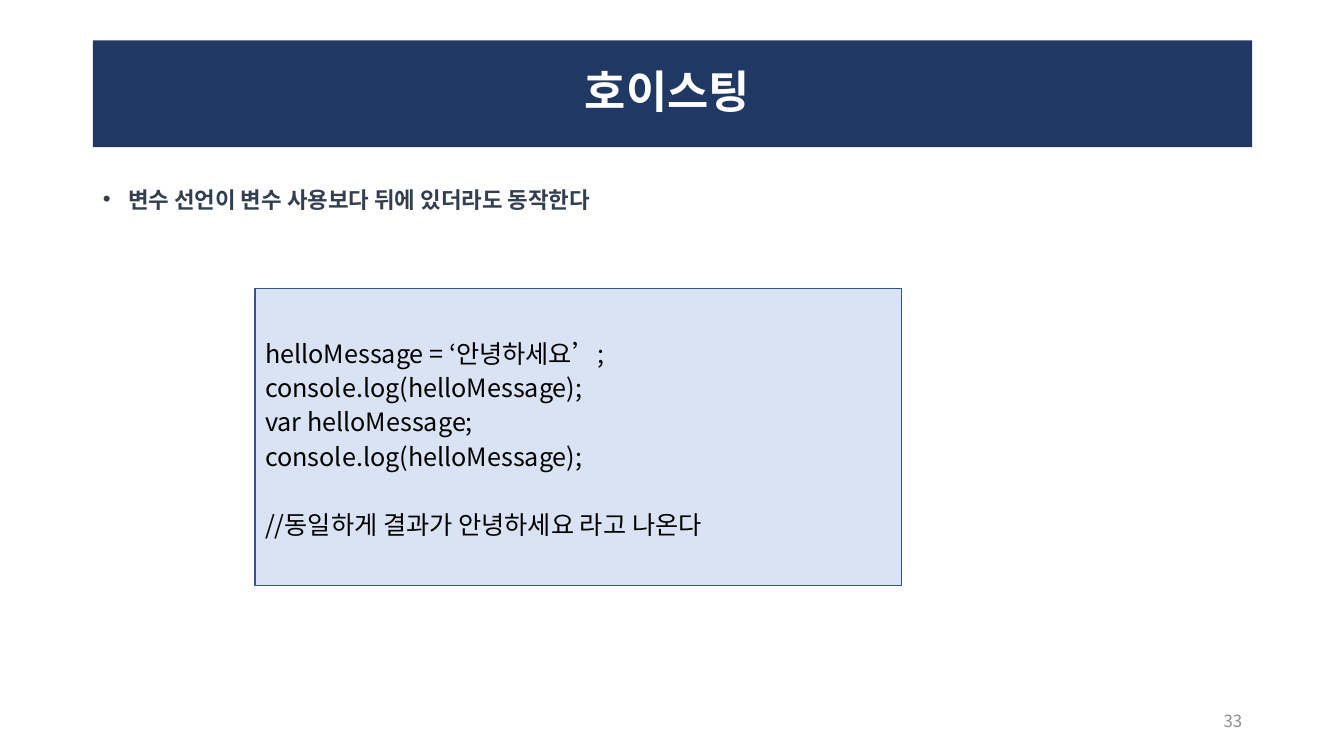
from dataclasses import dataclass

from lxml.etree import SubElement
from pptx import Presentation
from pptx.dml.color import RGBColor as RGB
from pptx.enum.shapes import MSO_SHAPE as Shape
from pptx.enum.text import MSO_ANCHOR as Anchor, MSO_AUTO_SIZE as AutoSize, PP_ALIGN as Align
from pptx.oxml.ns import qn
from pptx.util import Inches, Pt


@dataclass(frozen=True)
class Theme:
    font: str = "Noto Sans CJK KR"
    navy: RGB = RGB(0x20, 0x38, 0x64)
    slate: RGB = RGB(0x33, 0x3F, 0x50)
    pale: RGB = RGB(0xDA, 0xE3, 0xF3)
    border: RGB = RGB(0x32, 0x54, 0x91)
    gray: RGB = RGB(0x8C, 0x8C, 0x8C)
    white: RGB = RGB(0xFF, 0xFF, 0xFF)
    black: RGB = RGB(0, 0, 0)
    title_size: int = 32
    body_size: int = 16
    code_size: int = 18
    number_size: int = 12


theme = Theme()


def place(box, left, top, width, height):
    box.left, box.top = Inches(left), Inches(top)
    box.width, box.height = Inches(width), Inches(height)


def write(para, text, size, color, align=Align.LEFT, bold=False):
    """Fill a paragraph and set its Latin and East Asian fonts."""
    para.text = text
    para.alignment = align
    font = para.font
    font.size, font.bold, font.name = Pt(size), bold, theme.font
    font.color.rgb = color
    defaults = para._p.pPr.find(qn("a:defRPr"))
    SubElement(defaults, qn("a:ea"), typeface=theme.font)


deck = Presentation()
deck.slide_width, deck.slide_height = Inches(13.33), Inches(7.5)
page = deck.slides.add_slide(deck.slide_layouts[1])

# Title band
title = page.shapes.title
place(title, 0.92, 0.4, 11.5, 1.06)
title.fill.solid()
title.fill.fore_color.rgb = theme.navy
title.text_frame.vertical_anchor = Anchor.MIDDLE
title.text_frame.auto_size = AutoSize.NONE
heading = title.text_frame.paragraphs[0]
heading.line_spacing = 0.9
write(heading, "호이스팅 ", theme.title_size, theme.white, Align.CENTER, bold=True)

# Bullet list
body = page.placeholders[1]
place(body, 0.92, 1.66, 11.5, 5.1)
body.text_frame.auto_size = AutoSize.NONE
bullet = body.text_frame.paragraphs[0]
bullet.line_spacing = 1.5
bullet.space_before = Pt(0)
bullet_props = bullet._p.get_or_add_pPr()
bullet_props.set("marL", str(Inches(0.25)))
bullet_props.set("indent", str(Inches(-0.25)))
SubElement(bullet_props, qn("a:buFont"), typeface="Arial")
SubElement(bullet_props, qn("a:buChar"), char="•")
write(bullet, "변수 선언이 변수 사용보다 뒤에 있더라도 동작한다",
      theme.body_size, theme.slate, bold=True)

# Code panel
panel = page.shapes.add_shape(
    Shape.RECTANGLE, Inches(2.53), Inches(2.86), Inches(6.41), Inches(2.95))
panel.shadow.inherit = False
panel.fill.solid()
panel.fill.fore_color.rgb = theme.pale
panel.line.color.rgb = theme.border
panel.line.width = Pt(1)
code = panel.text_frame
code.word_wrap = True
code.vertical_anchor = Anchor.MIDDLE
code_lines = [
    "helloMessage = ‘안녕하세요’;",
    "console.log(helloMessage);",
    "var helloMessage;",
    "console.log(helloMessage);",
    "//동일하게 결과가 안녕하세요 라고 나온다",
]
line_height = Pt(24.5)
for index, line in enumerate(code_lines):
    para = code.add_paragraph() if index else code.paragraphs[0]
    para.line_spacing = line_height
    if line.startswith("//"):
        para.space_before = line_height
    write(para, line, theme.code_size, theme.black)

# Page number
number = page.shapes.add_textbox(Inches(9.42), Inches(6.95), Inches(3), Inches(0.4))
number.text_frame.word_wrap = True
number.text_frame.vertical_anchor = Anchor.MIDDLE
write(number.text_frame.paragraphs[0], "33", theme.number_size, theme.gray, Align.RIGHT)

deck.save("out.pptx")
